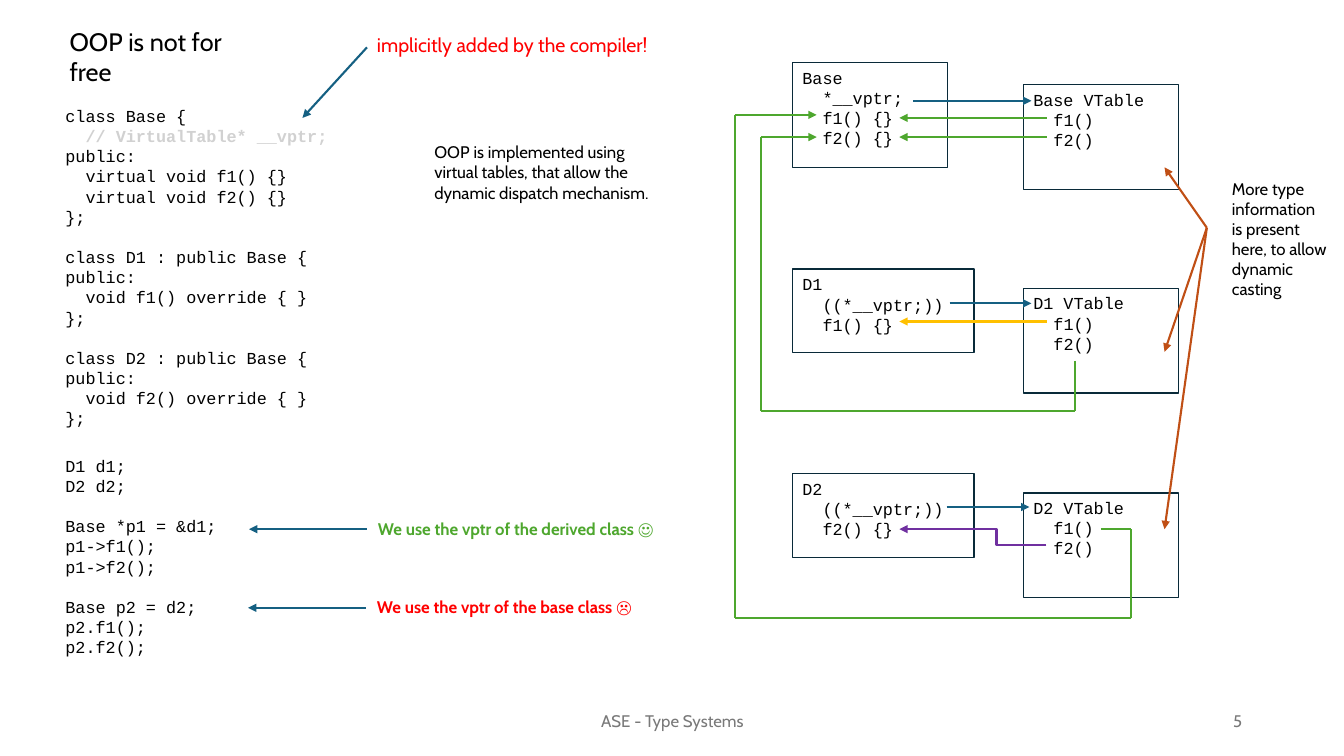
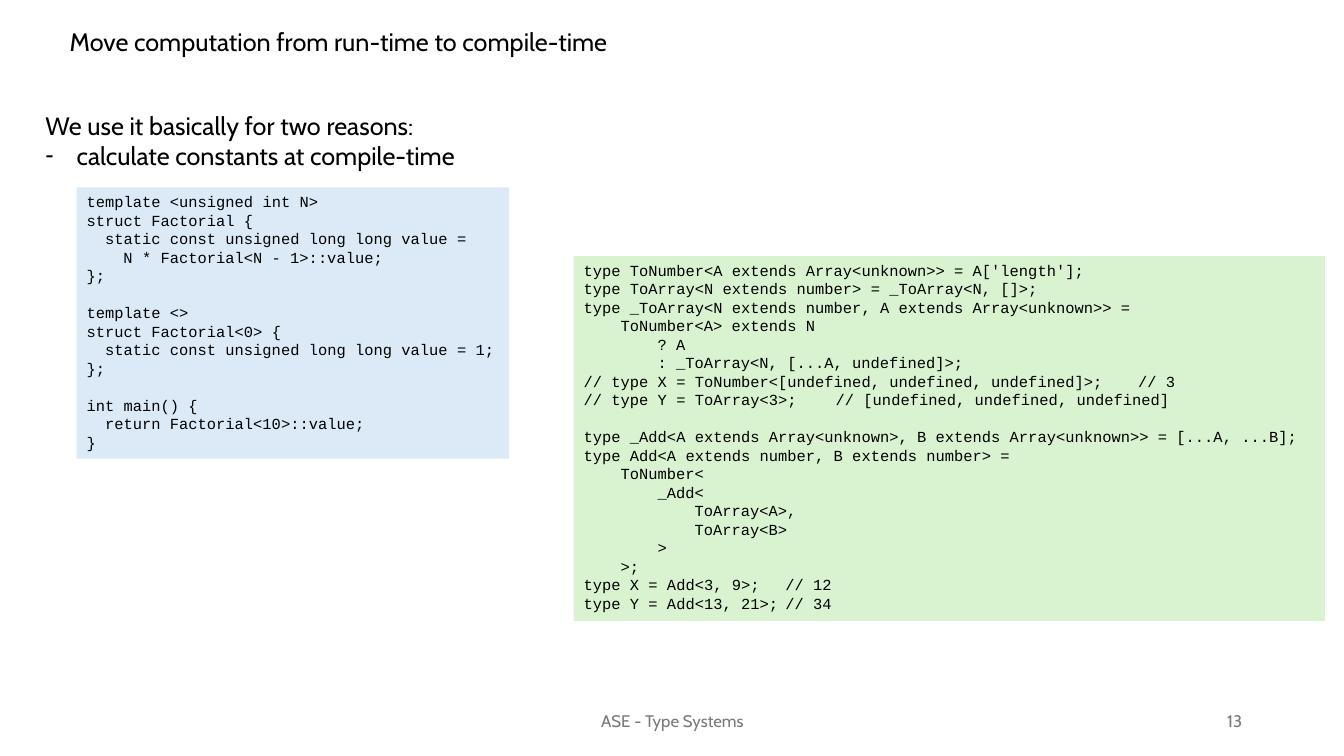
from dataclasses import dataclass
from itertools import pairwise

from lxml.etree import SubElement
from pptx import Presentation
from pptx.dml.color import RGBColor
from pptx.enum.shapes import MSO_CONNECTOR, MSO_SHAPE
from pptx.enum.text import MSO_ANCHOR, MSO_AUTO_SIZE, PP_ALIGN
from pptx.oxml.ns import qn
from pptx.util import Inches, Pt

RECT = MSO_SHAPE.RECTANGLE
STRAIGHT, ELBOW = MSO_CONNECTOR.STRAIGHT, MSO_CONNECTOR.ELBOW
TOP, MIDDLE = MSO_ANCHOR.TOP, MSO_ANCHOR.MIDDLE
LEFT, CENTER, RIGHT = PP_ALIGN.LEFT, PP_ALIGN.CENTER, PP_ALIGN.RIGHT
NO_AUTOFIT = MSO_AUTO_SIZE.NONE

SANS, MONO = "Cabin", "Courier New"
BLACK, GRAY, MUTED, NAVY = "000000", "797979", "D1D1D1", "092A39"
BLUE, GREEN, RED, RUST = "156082", "4EA72E", "FF0000", "C04F15"
YELLOW, PURPLE = "FFC000", "7030A0"
PALE_BLUE, PALE_GREEN = "DCEAF7", "D9F2D0"
TITLE_LAYOUT, LIST_LAYOUT = 5, 1
LINE_HEIGHT, CHAR_WIDTH = 1.2, 0.6

Point = tuple[float, float]
Area = tuple[float, float, float, float]


@dataclass(frozen=True)
class Label:
    area: Area
    lines: tuple[str, ...]
    color: str = BLACK
    size: int = 12
    bold: bool = False
    align: PP_ALIGN = LEFT
    anchor: MSO_ANCHOR = TOP


@dataclass(frozen=True)
class CodeBox:
    area: Area
    code: str
    size: int = 12
    fill: str | None = None
    line: str | None = None


@dataclass(frozen=True)
class Route:
    points: tuple[Point, ...]
    color: str


CLASS_CODE = """class Base {
  // VirtualTable* __vptr;
public:
  virtual void f1() {}
  virtual void f2() {}
};

class D1 : public Base {
public:
  void f1() override { }
};

class D2 : public Base {
public:
  void f2() override { }
};"""

USAGE_CODE = """D1 d1;
D2 d2;

Base *p1 = &d1;
p1->f1();
p1->f2();

Base p2 = d2;
p2.f1();
p2.f2();"""

FACTORIAL_CODE = """template <unsigned int N>
struct Factorial {
  static const unsigned long long value =
    N * Factorial<N - 1>::value;
};

template <>
struct Factorial<0> {
  static const unsigned long long value = 1;
};

int main() {
  return Factorial<10>::value;
}"""

ADD_CODE = """type ToNumber<A extends Array<unknown>> = A['length'];
type ToArray<N extends number> = _ToArray<N, []>;
type _ToArray<N extends number, A extends Array<unknown>> =
    ToNumber<A> extends N
        ? A
        : _ToArray<N, [...A, undefined]>;
// type X = ToNumber<[undefined, undefined, undefined]>;  // 3
// type Y = ToArray<3>;  // [undefined, undefined, undefined]

type _Add<A extends Array<unknown>, B extends Array<unknown>> = [...A, ...B];
type Add<A extends number, B extends number> =
    ToNumber<
        _Add<
            ToArray<A>,
            ToArray<B>
        >
    >;
type X = Add<3, 9>;    // 12
type Y = Add<13, 21>;  // 34"""

OBJECT_X, TABLE_X, TABLE_W, TABLE_H = 7.86, 10.15, 1.54, 1.04
VTABLE_CODE = "{} VTable\n  f1()\n  f2()"
OBJECTS = (
    CodeBox((OBJECT_X, 0.62, TABLE_W, TABLE_H),
            "Base\n  *__vptr;\n  f1() {}\n  f2() {}", line=NAVY),
    CodeBox((OBJECT_X, 2.67, 1.8, 0.83), "D1\n  ((*__vptr;))\n  f1() {}", line=NAVY),
    CodeBox((OBJECT_X, 4.7, 1.8, 0.83), "D2\n  ((*__vptr;))\n  f2() {}", line=NAVY),
)
VTABLES = tuple(
    CodeBox((TABLE_X, y, TABLE_W, TABLE_H), VTABLE_CODE.format(name), line=NAVY)
    for name, y in (("Base", 0.84), ("D1", 2.86), ("D2", 4.89))
)
LISTINGS = (
    CodeBox((0.55, 1, 3.39, 3.33), CLASS_CODE),
    CodeBox((0.55, 4.47, 2.21, 2.12), USAGE_CODE),
)
PANELS = (
    CodeBox((0.76, 1.86, 4.29, 2.69), FACTORIAL_CODE, 11, PALE_BLUE),
    CodeBox((5.69, 2.54, 7.45, 3.62), ADD_CODE, 11, PALE_GREEN),
)

NOTES = (
    Label((3.64, 0.28, 2.97, 0.34), ("implicitly added by the compiler!",), RED, 14),
    Label((4.21, 1.36, 2.44, 0.71),
          ("OOP is implemented using", "virtual tables, that allow the",
           "dynamic dispatch mechanism.")),
    Label((3.65, 5.1, 3.09, 0.3), ("We use the vptr of the derived class ☺",),
          GREEN, bold=True),
    Label((3.64, 5.87, 2.9, 0.3), ("We use the vptr of the base class ☹",),
          RED, bold=True),
    Label((12.12, 1.72, 1.14, 1.51),
          ("More type information is present here, to allow dynamic casting",)),
)

FUNCTION_X, IMPL_X, INHERITED_X = 10.38, 8.92, 8.1
TYPE_INFO = (11.97, 2.26)
ROUTES = (
    Route(((3.64, 0.47), (3, 1.17)), BLUE),
    Route(((3.64, 5.25), (2.47, 5.25)), BLUE),
    Route(((3.63, 6.03), (2.46, 6.03)), BLUE),
    Route(((9.06, 1), (10.23, 1)), BLUE),
    Route(((9.42, 3.01), (10.23, 3.01)), BLUE),
    Route(((9.39, 5.03), (10.21, 5.03)), BLUE),
    Route(((FUNCTION_X, 1.17), (IMPL_X, 1.17)), GREEN),
    Route(((FUNCTION_X, 1.36), (IMPL_X, 1.36)), GREEN),
    Route(((FUNCTION_X, 3.19), (IMPL_X, 3.19)), YELLOW),
    Route(((10.66, 3.58), (10.66, 4.08), (7.55, 4.08), (7.55, 1.36),
           (INHERITED_X, 1.36)), GREEN),
    Route(((10.92, 5.25), (11.22, 5.25), (11.22, 6.13), (7.29, 6.13),
           (7.29, 1.14), (INHERITED_X, 1.14)), GREEN),
    *(Route((TYPE_INFO, (11.55, y)), RUST) for y in (1.66, 3.49, 5.25)),
)


def rgb(color: str) -> RGBColor:
    return RGBColor.from_string(color)


def place(sp, area: Area) -> None:
    sp.left, sp.top, sp.width, sp.height = map(Inches, area)


def setup_frame(tf, anchor: MSO_ANCHOR = TOP) -> None:
    tf.word_wrap = True
    tf.auto_size = NO_AUTOFIT
    tf.vertical_anchor = anchor


def paragraphs(tf, count: int) -> list:
    return [tf.paragraphs[0], *(tf.add_paragraph() for _ in range(count - 1))]


def add_run(p, text: str, font: str, size: int, color: str = BLACK,
            bold: bool = False) -> None:
    r = p.add_run()
    r.text = text
    r.font.name, r.font.size, r.font.bold = font, Pt(size), bold
    r.font.color.rgb = rgb(color)


def write_lines(tf, label: Label) -> None:
    setup_frame(tf, label.anchor)
    for p, text in zip(paragraphs(tf, len(label.lines)), label.lines):
        p.alignment = label.align
        p.space_before = Pt(0)
        add_run(p, text, SANS, label.size, label.color, label.bold)


def add_label(slide, label: Label) -> None:
    sp = slide.shapes.add_textbox(*map(Inches, label.area))
    write_lines(sp.text_frame, label)


def write_code(tf, code: str, size: int) -> None:
    setup_frame(tf)
    lines = code.split("\n")
    shown = [i for i, line in enumerate(lines) if line]
    column = Pt(size * CHAR_WIDTH)
    for p, i in zip(paragraphs(tf, len(shown)), shown):
        text = lines[i].lstrip()
        after_gap = i > 0 and not lines[i - 1]
        p.alignment = LEFT
        p.line_spacing = Pt(size * LINE_HEIGHT)
        p.space_before = Pt(size * LINE_HEIGHT if after_gap else 0)
        pPr = p._p.get_or_add_pPr()
        pPr.set("marL", str((len(lines[i]) - len(text)) * column))
        pPr.set("indent", "0")
        head, gap, tail = text.partition("  ")
        if gap:
            comment = tail.lstrip()
            stops = SubElement(pPr, qn("a:tabLst"))
            position = (len(text) - len(comment)) * column
            SubElement(stops, qn("a:tab"), pos=str(position), algn="l")
            text = f"{head}\t{comment}"
        muted = text.startswith("// Virtual")
        add_run(p, text, MONO, size, MUTED if muted else BLACK, muted)


def add_code(slide, box: CodeBox) -> None:
    area = map(Inches, box.area)
    if box.fill or box.line:
        sp = slide.shapes.add_shape(RECT, *area)
        sp.shadow.inherit = False
        if box.fill:
            sp.fill.solid()
            sp.fill.fore_color.rgb = rgb(box.fill)
        else:
            sp.fill.background()
        if box.line:
            sp.line.color.rgb = rgb(box.line)
            sp.line.width = Pt(1)
        else:
            sp.line.fill.background()
    else:
        sp = slide.shapes.add_textbox(*area)
    write_code(sp.text_frame, box.code, box.size)


def add_line(slide, start: Point, end: Point, color: str, arrow: bool,
             kind: MSO_CONNECTOR = STRAIGHT):
    line = slide.shapes.add_connector(kind, *map(Inches, (*start, *end)))
    line.line.color.rgb = rgb(color)
    line.line.width = Pt(1.5)
    if arrow:
        SubElement(line.line._get_or_add_ln(), qn("a:tailEnd"), type="triangle")
    SubElement(line._element.spPr, qn("a:effectLst"))
    return line


def add_route(slide, route: Route) -> None:
    for start, end in pairwise(route.points):
        add_line(slide, start, end, route.color, end == route.points[-1])


def add_elbow(slide, start: Point, end: Point, color: str, bend: float) -> None:
    line = add_line(slide, start, end, color, True, ELBOW)
    guides = line._element.spPr.find(qn("a:prstGeom")).find(qn("a:avLst"))
    SubElement(guides, qn("a:gd"), name="adj1", fmla=f"val {round(bend * 100000)}")


def add_slide(prs, layout: int, title: str, title_width: float, number: int):
    slide = prs.slides.add_slide(prs.slide_layouts[layout])
    heading = Label((0.59, 0.21, title_width, 0.4), (title,), size=18)
    place(slide.shapes.title, heading.area)
    write_lines(slide.shapes.title.text_frame, heading)
    add_label(slide, Label((4.42, 6.95, 4.5, 0.4), ("ASE - Type Systems",), GRAY,
                           align=CENTER, anchor=MIDDLE))
    add_label(slide, Label((9.42, 6.95, 3, 0.4), (str(number),), GRAY,
                           align=RIGHT, anchor=MIDDLE))
    return slide


def build_vtables(prs) -> None:
    slide = add_slide(prs, TITLE_LAYOUT, "OOP is not for free", 2.18, 5)
    for box in (*LISTINGS, *OBJECTS, *VTABLES):
        add_code(slide, box)
    for note in NOTES:
        add_label(slide, note)
    for route in ROUTES:
        add_route(slide, route)
    add_elbow(slide, (FUNCTION_X, 5.41), (IMPL_X, 5.25), PURPLE, 0.34)


def build_compile_time(prs) -> None:
    slide = add_slide(prs, LIST_LAYOUT,
                      "Move computation from run-time to compile-time", 6, 13)
    body = slide.placeholders[1]
    reasons = Label((0.35, 1.04, 11.83, 0.71),
                    ("We use it basically for two reasons:",
                     "calculate constants at compile-time"), size=18)
    place(body, reasons.area)
    write_lines(body.text_frame, reasons)
    for p, bullet in zip(body.text_frame.paragraphs, ("", "-")):
        pPr = p._p.get_or_add_pPr()
        hang = Inches(0.31) if bullet else 0
        pPr.set("marL", str(hang))
        pPr.set("indent", str(-hang))
        if bullet:
            SubElement(pPr, qn("a:buChar"), char=bullet)
        else:
            SubElement(pPr, qn("a:buNone"))
    for panel in PANELS:
        add_code(slide, panel)


def main() -> None:
    prs = Presentation()
    prs.slide_width, prs.slide_height = Inches(13.33), Inches(7.5)
    build_vtables(prs)
    build_compile_time(prs)
    prs.save("out.pptx")


if __name__ == "__main__":
    main()
